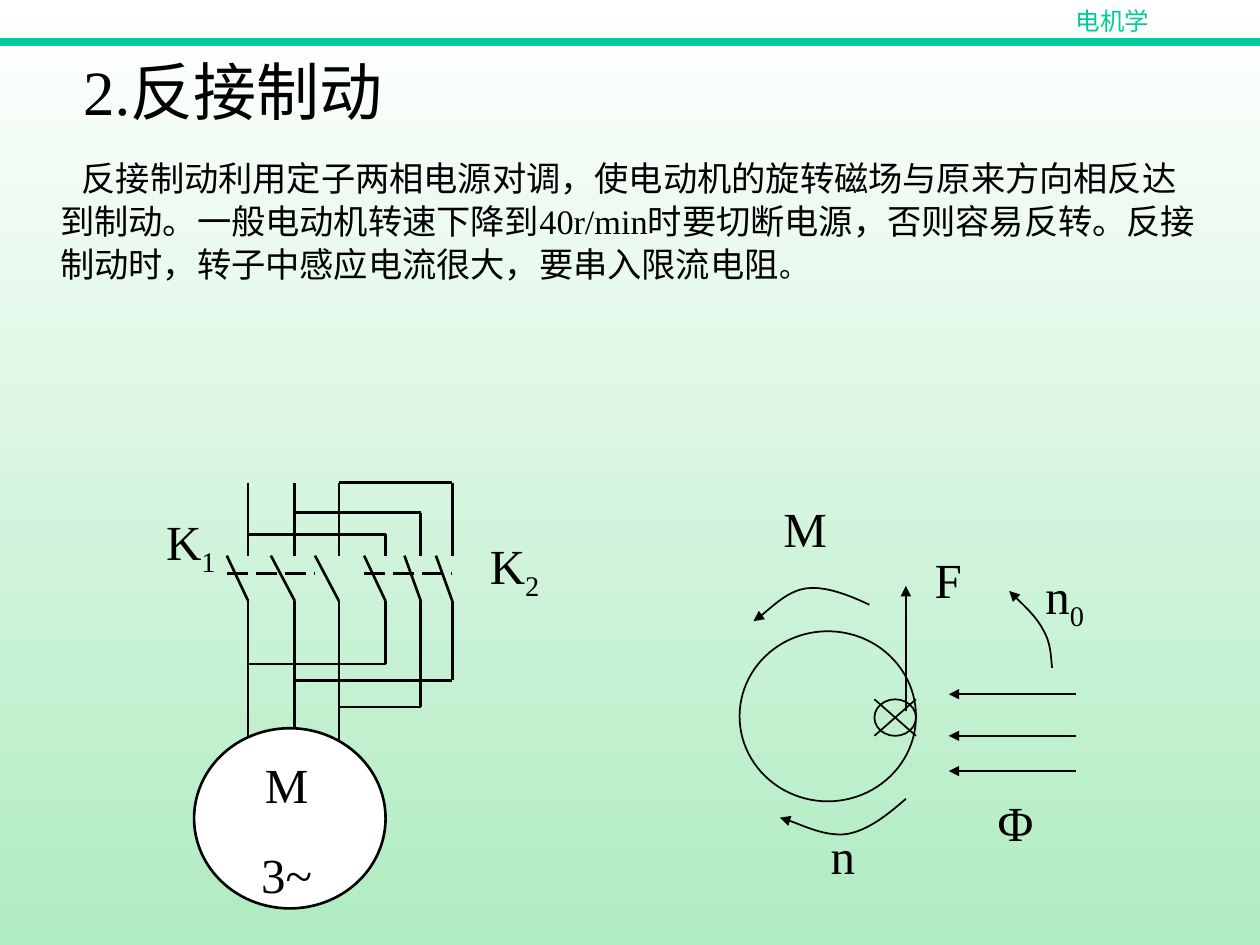
from lxml.etree import SubElement
from pptx import Presentation
from pptx.dml.color import RGBColor
from pptx.enum.dml import MSO_LINE
from pptx.enum.shapes import MSO_CONNECTOR, MSO_SHAPE
from pptx.enum.text import MSO_ANCHOR, MSO_AUTO_SIZE, PP_ALIGN
from pptx.oxml.ns import qn
from pptx.util import Inches, Pt

COLORS = {"ink": "000000", "accent": "00CC99", "paper": "FFFFFF", "mint": "B0ECC1"}
FONT = "Times New Roman"

COURSE = "电机学"
HEADING = "2.反接制动"
EXPLANATION = [
    ("反接制动利用定子两相电源对调，使电动机的旋转磁场与原来方向相反达到制动。"
     "一般电动机转速下降到40r/min时要切断电源，否则容易反转。"
     "反接制动时，转子中感应电流很大，要串入限流电阻", 19.6),
    ("。", 16.8),
]

CONTACT_TOP, CONTACT_BOTTOM, DASH_Y = 4.41, 4.77, 4.55
SUPPLY_TOP, MOTOR_ENTRY = 3.83, 5.89
PHASES = [1.97, 2.34, 2.69]
FORWARD_POLES = [(x, SUPPLY_TOP, MOTOR_ENTRY, reach)
                 for x, reach in zip(PHASES, (0.17, 0.19, 0.19))]
REVERSE_POLES = [(3.06, 4.24, 5.27, 0.17), (3.34, 4.07, 5.61, 0.13), (3.59, 3.83, 5.4, 0.13)]
PHASE_ORDER_IN = [0, 1, 2]
PHASE_ORDER_OUT = [0, 2, 1]
MOTOR = (1.54, 5.78, 1.52, 1.43)
CIRCUIT_LABELS = [
    ([("M", ""), ("3~", "")], (1.36, 5.94, 1.33, 1.28)),
    ([("K", "1")], (0.55, 4.01, 1.43, 0.63)),
    ([("K", "2")], (3.22, 4.2, 1.23, 0.63)),
]

ROTOR = (5.87, 5.01, 1.4, 1.35)
CONDUCTOR = (6.94, 5.55, 0.33, 0.29)
FORCE = (7.19, 5.64, 7.19, 4.65)
FLUX_LEFT, FLUX_RIGHT, FLUX_ROWS = 7.53, 8.54, (5.51, 5.84, 6.12)
ROTATIONS = [
    [(7.19, 6.34), (7.04, 6.47), (6.89, 6.59), (6.72, 6.62), (6.55, 6.64), (6.28, 6.51), (6.19, 6.49)],
    [(6.9, 4.8), (6.73, 4.72), (6.55, 4.65), (6.4, 4.67), (6.25, 4.69), (6.05, 4.89), (5.98, 4.93)],
    [(8.35, 5.3), (8.34, 5.2), (8.34, 5.1), (8.28, 5), (8.23, 4.9), (8.06, 4.74), (8.01, 4.69)],
]
ROTOR_LABELS = [
    ([("n", "")], (5.89, 6.5, 1.1, 0.57)),
    ([("M", "")], (5.3, 3.91, 1.68, 0.57)),
    ([("Φ", "")], (7.19, 6.24, 1.24, 0.57)),
    ([("F", "")], (6.62, 4.31, 1.31, 0.57)),
    ([("n", "0")], (7.53, 4.44, 1.34, 0.63)),
]


def rgb(name):
    return RGBColor.from_string(COLORS[name])


def style_font(font, size, color="ink"):
    font.name = FONT
    font.size = Pt(size)
    font.color.rgb = rgb(color)


def style_line(line, width, color="ink", arrow=False):
    line.color.rgb = rgb(color)
    line.width = Pt(width)
    if arrow:
        SubElement(line._get_or_add_ln(), qn("a:tailEnd"), type="triangle")


def add_line(shapes, ends, width, color="ink", arrow=False, dashed=False):
    wire = shapes.add_connector(MSO_CONNECTOR.STRAIGHT, *map(Inches, ends))
    if dashed:
        wire.line.dash_style = MSO_LINE.LONG_DASH
    style_line(wire.line, width, color, arrow)
    SubElement(wire._element.spPr, qn("a:effectLst"))


def add_circle(shapes, box, width, fill=None):
    circle = shapes.add_shape(MSO_SHAPE.OVAL, *map(Inches, box))
    circle.shadow.inherit = False
    if fill:
        circle.fill.solid()
        circle.fill.fore_color.rgb = rgb(fill)
    else:
        circle.fill.background()
    style_line(circle.line, width)


def add_curved_arrow(shapes, points):
    start, *rest = [(Inches(x), Inches(y)) for x, y in points]
    builder = shapes.build_freeform(*start)
    builder.add_line_segments(rest, close=False)
    curve = builder.convert_to_shape()
    segments = list(curve._element.iter(qn("a:lnTo")))
    for first in range(0, len(segments), 3):
        triple = segments[first:first + 3]
        bezier = SubElement(triple[0].getparent(), qn("a:cubicBezTo"))
        for segment in triple:
            bezier.append(segment[0])
            segment.getparent().remove(segment)
    curve.shadow.inherit = False
    curve.fill.background()
    style_line(curve.line, 1, arrow=True)


def add_text_frame(shapes, box):
    frame = shapes.add_textbox(*map(Inches, box)).text_frame
    frame.word_wrap = True
    return frame


def set_indent(paragraph, margin, indent=0):
    properties = paragraph._p.get_or_add_pPr()
    properties.set("marL", str(Inches(margin)))
    properties.set("indent", str(Inches(indent)))


def add_label(shapes, rows, box):
    frame = add_text_frame(shapes, box)
    frame.auto_size = MSO_AUTO_SIZE.SHAPE_TO_FIT_TEXT
    for index, (symbol, subscript) in enumerate(rows):
        row = frame.add_paragraph() if index else frame.paragraphs[0]
        set_indent(row, 0.5)
        row.alignment = PP_ALIGN.CENTER
        if index:
            row.space_before = Pt(17.5)
        for text in filter(None, (symbol, subscript)):
            run = row.add_run()
            run.text = text
            style_font(run.font, 28)
        if subscript:
            run._r.get_or_add_rPr().set("baseline", "-25000")


def add_header(slide):
    add_line(slide.shapes, (0, 0.33, 10, 0.33), 4.5, "accent")
    course = add_text_frame(slide.shapes, (8.08, 0, 1.5, 0.34))
    course.text = COURSE
    course.paragraphs[0].alignment = PP_ALIGN.CENTER
    style_font(course.paragraphs[0].runs[0].font, 14, "accent")

    title = slide.shapes.title
    title.left, title.top, title.width, title.height = map(Inches, (0.56, 0.41, 8.5, 0.62))
    heading = title.text_frame
    heading.text = HEADING
    heading.auto_size = MSO_AUTO_SIZE.NONE
    heading.vertical_anchor = MSO_ANCHOR.MIDDLE
    heading.paragraphs[0].alignment = PP_ALIGN.LEFT
    style_font(heading.paragraphs[0].runs[0].font, 36)


def add_explanation(slide):
    paragraph = add_text_frame(slide.shapes, (0, 1.18, 9.7, 1.15)).paragraphs[0]
    set_indent(paragraph, 0.38, 0.17)
    paragraph.line_spacing = 1.05
    for text, size in EXPLANATION:
        run = paragraph.add_run()
        run.text = text
        style_font(run.font, size)


def add_rotor(shapes):
    add_circle(shapes, ROTOR, 1)
    add_circle(shapes, CONDUCTOR, 1)
    left, top, width, height = CONDUCTOR
    right, bottom = left + width, top + height
    add_line(shapes, (left, top, right, bottom), 1)
    add_line(shapes, (right, top, left, bottom), 1)
    for points in ROTATIONS:
        add_curved_arrow(shapes, points)
    for y in FLUX_ROWS:
        add_line(shapes, (FLUX_RIGHT, y, FLUX_LEFT, y), 1, arrow=True)
    add_line(shapes, FORCE, 1, arrow=True)
    for rows, box in ROTOR_LABELS:
        add_label(shapes, rows, box)


def add_circuit(shapes):
    for poles in (FORWARD_POLES, REVERSE_POLES):
        for x, top, bottom, reach in poles:
            add_line(shapes, (x, top, x, CONTACT_TOP), 1.5)
            add_line(shapes, (x, CONTACT_BOTTOM, x, bottom), 1.5)
            add_line(shapes, (x, CONTACT_BOTTOM, x - reach, CONTACT_TOP), 1.5)
        dash_start = poles[0][0] - poles[0][3]
        add_line(shapes, (dash_start, DASH_Y, dash_start + 0.7, DASH_Y), 1.5, dashed=True)
    for (x, top, bottom, _), phase_in, phase_out in zip(REVERSE_POLES, PHASE_ORDER_IN, PHASE_ORDER_OUT):
        add_line(shapes, (PHASES[phase_in], top, x, top), 1.5)
        add_line(shapes, (PHASES[phase_out], bottom, x, bottom), 1.5)
    add_circle(shapes, MOTOR, 1.5, "paper")
    for rows, box in CIRCUIT_LABELS:
        add_label(shapes, rows, box)


def main():
    deck = Presentation()
    deck.slide_width, deck.slide_height = Inches(10), Inches(7.5)
    slide = deck.slides.add_slide(deck.slide_layouts[5])
    backdrop = slide.background.fill
    backdrop.gradient()
    backdrop.gradient_angle = 270
    for stop, name in zip(backdrop.gradient_stops, ("paper", "mint")):
        stop.color.rgb = rgb(name)
    add_header(slide)
    add_explanation(slide)
    add_rotor(slide.shapes.add_group_shape().shapes)
    add_circuit(slide.shapes.add_group_shape().shapes)
    deck.save("out.pptx")


if __name__ == "__main__":
    main()
